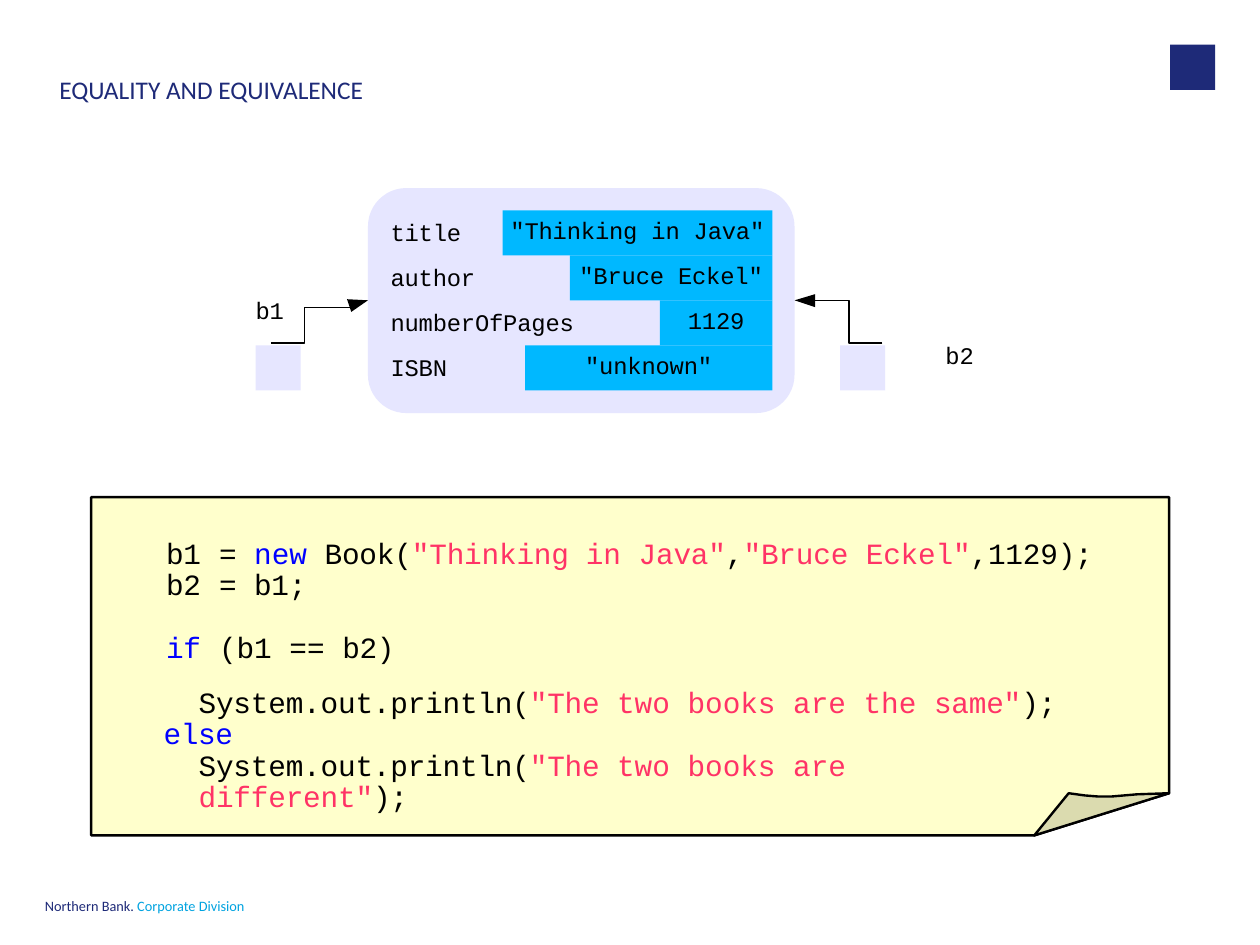
from typing import NamedTuple

from lxml.etree import SubElement
from pptx import Presentation
from pptx.dml.color import RGBColor
from pptx.enum.shapes import MSO_CONNECTOR as Link, MSO_SHAPE as Shape
from pptx.enum.text import MSO_ANCHOR as Anchor, PP_ALIGN as Align
from pptx.oxml.ns import qn
from pptx.util import Pt

COLORS = {
    "navy": "1E2A78", "cyan": "00A3E0", "black": "000000",
    "lavender": "E6E6FF", "value": "00B8FF",
    "paper": "FFFFCC", "fold": "DBDBAF",
    "keyword": "0000FF", "string": "FF3366",
}
NO_GRID_STYLE = "{2D5ABB26-0587-4C30-8999-92F81FD0307C}"


class Run(NamedTuple):
    text: str
    color: str = "black"
    tracking: int = -10  # hundredths of a point


class SlideBuilder:
    def __init__(self, slide):
        self.shapes = slide.shapes
        self.heading_font = "Calibri"
        self.code_font = "Courier New"
        self.label_size = 15
        self.code_size = 18.5

    def color(self, name):
        return RGBColor.from_string(COLORS[name])

    def style(self, shape, fill, line=None):
        shape.shadow.inherit = False
        shape.fill.solid()
        shape.fill.fore_color.rgb = self.color(fill)
        if line:
            shape.line.color.rgb = self.color(line)
            shape.line.width = Pt(1.5)
        else:
            shape.line.fill.background()
        return shape

    def box(self, left, top, width, height, fill, kind=Shape.RECTANGLE):
        return self.style(self.shapes.add_shape(
            kind, Pt(left), Pt(top), Pt(width), Pt(height)), fill)

    def outline(self, points, fill, line=None):
        start, *rest = [(Pt(x), Pt(y)) for x, y in points]
        builder = self.shapes.build_freeform(*start)
        builder.add_line_segments(rest, close=True)
        return self.style(builder.convert_to_shape(), fill, line)

    def add_runs(self, paragraph, runs, size, font):
        for part in runs:
            run = paragraph.add_run()
            run.text = part.text
            run.font.size = Pt(size)
            run.font.name = font
            run.font.color.rgb = self.color(part.color)
            if part.tracking:
                run.font._element.set("spc", str(part.tracking))

    def frame(self, shape, top=0):
        frame = shape.text_frame
        frame.word_wrap = True
        frame.vertical_anchor = Anchor.TOP
        frame.margin_left = frame.margin_right = frame.margin_bottom = 0
        frame.margin_top = Pt(top)
        return frame

    def text(self, left, top, width, height, runs, size, font, spacing=None):
        area = self.shapes.add_textbox(Pt(left), Pt(top), Pt(width), Pt(height))
        paragraph = self.frame(area).paragraphs[0]
        paragraph.line_spacing = spacing
        self.add_runs(paragraph, runs, size, font)

    def label(self, left, top, word, width):
        self.text(left, top, width, 19, [Run(word)], self.label_size, self.code_font)

    def value(self, left, top, width, height, word):
        paragraph = self.frame(
            self.box(left, top, width, height, "value"), 3.3).paragraphs[0]
        paragraph.alignment = Align.CENTER
        self.add_runs(paragraph, [Run(word)], self.label_size, self.code_font)

    def connector(self, kind, start, end):
        link = self.shapes.add_connector(kind, *[Pt(v) for v in (*start, *end)])
        link.line.color.rgb = self.color("black")
        link.line.width = Pt(1)
        SubElement(link.element.spPr, qn("a:effectLst"))

    def code_table(self, left, top, widths, heights, rows):
        holder = self.shapes.add_table(
            len(heights), len(widths), Pt(left), Pt(top),
            Pt(sum(widths)), Pt(sum(heights)))
        table = holder.table
        table.first_row = table.horz_banding = False
        for style_id in holder.element.iter(qn("a:tableStyleId")):
            style_id.text = NO_GRID_STYLE
        for column, width in zip(table.columns, widths):
            column.width = Pt(width)
        for row, height, contents in zip(table.rows, heights, rows):
            row.height = Pt(height)
            for index, (cell, lines) in enumerate(zip(row.cells, contents)):
                cell.fill.background()
                cell.margin_top = cell.margin_right = cell.margin_bottom = 0
                cell.margin_left = Pt(5.6 if index else 2.4)
                for number, runs in enumerate(lines):
                    frame = cell.text_frame
                    paragraph = frame.add_paragraph() if number else frame.paragraphs[0]
                    paragraph.line_spacing = Pt(22.1 if number else 18.7)
                    if number:
                        paragraph.space_before = Pt(17.6)
                    self.add_runs(paragraph, runs, self.code_size, self.code_font)

    def code_lines(self, left, top, width, height, lines):
        area = self.shapes.add_textbox(Pt(left), Pt(top), Pt(width), Pt(height))
        frame = self.frame(area, 3.6)
        for number, (indent, runs) in enumerate(lines):
            paragraph = frame.add_paragraph() if number else frame.paragraphs[0]
            paragraph._p.get_or_add_pPr().set("marL", str(Pt(indent)))
            paragraph.line_spacing = Pt(19.8)
            self.add_runs(paragraph, runs, self.code_size, self.code_font)


def main():
    deck = Presentation()
    deck.slide_width, deck.slide_height = Pt(793.7), Pt(595.28)
    page = SlideBuilder(deck.slides.add_slide(deck.slide_layouts[6]))

    # Footer, corner mark and title
    page.text(28.3, 567.2, 157.7, 14.4,
              [Run("Northern Bank. ", "navy", 0), Run("Corporate Division", "cyan", 0)],
              9, page.heading_font, Pt(9))
    page.box(737.1, 28.2, 28.4, 28.4, "navy")
    page.text(37.4, 49, 718.6, 43.9, [Run("EQUALITY AND EQUIVALENCE", "navy", 0)],
              16, page.heading_font, 0.9)

    # Note paper with a folded corner
    note_left, note_right, note_top, note_bottom = 57.4, 736.5, 313.2, 526.3
    fold_start, fold_end = (651.5, note_bottom), (note_right, 499.7)
    page.outline([fold_end, (note_right, note_top), (note_left, note_top),
                  (note_left, note_bottom), fold_start], "paper", "black")
    page.outline([fold_end, (716.4, 500.4), (699.8, 501.8), (692, 501.8),
                  (683.3, 501.1), (673.2, 499.7), fold_start], "fold", "black")

    # Book object and its fields
    book = page.box(231.8, 118.5, 268.7, 141.7, "lavender", Shape.ROUNDED_RECTANGLE)
    book.adjustments[0] = 0.17
    row_height, first_row, value_right = 28.35, 132.6, 486.6
    fields = [("title", '"Thinking in Java"', 170), ("author", '"Bruce Eckel"', 127.6),
              ("numberOfPages", "1129", 70.9), ("ISBN", '"unknown"', 155.8)]
    for index, (field, content, width) in enumerate(fields):
        top = first_row + index * row_height
        page.value(value_right - width, top, width, row_height, content)
        page.label(246, top + 4.8, field, 120)

    # References b1 and b2
    reference_top = first_row + 3 * row_height
    for left in (161.1, 529.2):
        page.box(left, reference_top, row_height, row_height, "lavender")
    page.label(161, 186.2, "b1", 20)
    page.label(595.6, 214.5, "b2", 20)
    page.connector(Link.ELBOW, (170.6, 216), (213.1, 193.7))
    page.connector(Link.STRAIGHT, (213.1, 193.7), (222.5, 193.7))
    page.connector(Link.ELBOW, (555.9, 216.2), (513.4, 189.2))
    page.outline([(231.8, 189.2), (218.6, 188.5), (221.3, 196.5)], "black")
    page.outline([(500.5, 189.2), (513.4, 185.3), (513.4, 193.5)], "black")

    # Code: assignments and comparison
    page.code_table(102.2, 342.5, [30.2, 231.1, 176.4, 151.2], [19.4, 59.8], [
        [[[Run("b1", tracking=-20)]],
         [[Run("= ", tracking=0), Run("new ", "keyword", 0), Run("Book("),
           Run('"Thinking', "string")]],
         [[Run("in ", "string", 0), Run('Java"', "string"), Run(","),
           Run('"Bruce', "string")]],
         [[Run('Eckel"', "string"), Run(",1129);")]]],
        [[[Run("b2", tracking=-20)], [Run("if", "keyword", -20)]],
         [[Run("= ", tracking=0), Run("b1;", tracking=-20)],
          [Run("(b1 == ", tracking=0), Run("b2)", tracking=-20)]],
         [], []],
    ])

    # Code: printed results
    call = [Run("System.out.println("), Run('"The ', "string")]
    page.code_lines(102.4, 429.7, 567, 87, [
        (22.7, [*call, Run("two books are the ", "string", 0),
                Run('same"', "string"), Run(");")]),
        (0.7, [Run("else", "keyword", -20)]),
        (22.7, [*call, Run("two books are ", "string", 0),
                Run('different"', "string"), Run(");")]),
    ])

    deck.save("out.pptx")


if __name__ == "__main__":
    main()
